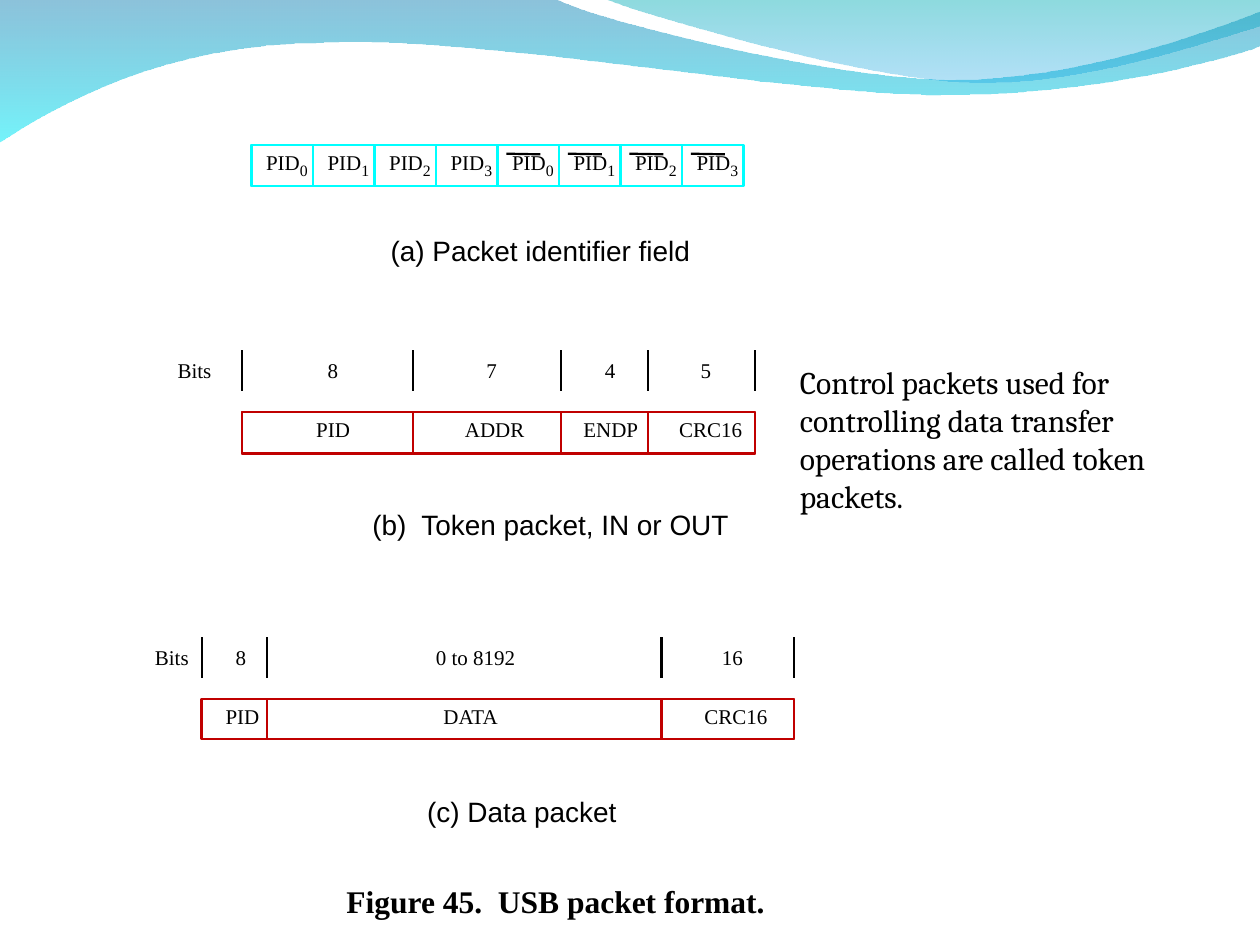
from dataclasses import dataclass
from typing import Optional
from pptx import Presentation
from pptx import util as u
from pptx.dml.color import RGBColor
from pptx.enum import shapes, text
from pptx.oxml.xmlchemy import OxmlElement

BLACK = RGBColor(0x00, 0x00, 0x00)
WHITE = RGBColor(0xFF, 0xFF, 0xFF)
CYAN = RGBColor(0x00, 0xFF, 0xFF)
RED = RGBColor(0xC0, 0x00, 0x00)
DEEP_BLUE = RGBColor(0x00, 0x79, 0xAF)
AQUA = RGBColor(0x00, 0xEB, 0xF8)
TEAL = RGBColor(0x00, 0xAD, 0xB6)
SKY = RGBColor(0x00, 0x9B, 0xE5)

prs = Presentation()
prs.slide_width, prs.slide_height = u.Inches(10), u.Inches(7.5)
COL, ROW = prs.slide_width / 100, prs.slide_height / 75
s = prs.slides.add_slide(prs.slide_layouts[6])

SERIF = {"name": "Times New Roman", "size": u.Pt(12)}
SUBSCRIPT = {**SERIF, "size": u.Pt(9)}
CAPTION = {"name": "Arial", "size": u.Pt(16)}
FIGURE = {**SERIF, "size": u.Pt(18), "bold": True}
REMARK = {"name": "Cambria", "size": u.Pt(18)}


@dataclass
class Label:
    words: str
    x: float
    w: float


@dataclass
class Packet:
    top: float
    height: float
    edges: list[float]
    bits: list[Label]
    names: list[Label]


@dataclass
class Wave:
    start: tuple[float, float]
    pieces: list[tuple[float, ...]]
    stops: list[tuple[RGBColor, int]]


def place(x: float, y: float, w: float, h: float) -> tuple[int, ...]:
    return round(x * COL), round(y * ROW), round(w * COL), round(h * ROW)


def cell(x: float, y: float, w: float, h: float, color: RGBColor,
         fill: Optional[RGBColor] = None) -> None:
    sp = s.shapes.add_shape(shapes.MSO_SHAPE.RECTANGLE, *place(x, y, w, h))
    sp.shadow.inherit = False
    sp.fill.background()
    if fill is not None:
        sp.fill.solid()
        sp.fill.fore_color.rgb = fill
    sp.line.color.rgb = color
    sp.line.width = u.Pt(1.25)


def line(x1: float, y1: float, x2: float, y2: float) -> None:
    c = s.shapes.add_connector(shapes.MSO_CONNECTOR.STRAIGHT,
                               *place(x1, y1, x2, y2))
    c.line.color.rgb = BLACK
    c.line.width = u.Pt(1.25)
    c._element.spPr.append(OxmlElement("a:effectLst"))


def write(label: Label, y: float, h: float, font: dict,
          wrap: bool = False) -> None:
    tf = s.shapes.add_textbox(*place(label.x, y, label.w, h)).text_frame
    tf.word_wrap = wrap
    tf.auto_size = text.MSO_AUTO_SIZE.SHAPE_TO_FIT_TEXT
    if not wrap:
        for side in ("left", "top", "right", "bottom"):
            setattr(tf, f"margin_{side}", 0)
    r = tf.paragraphs[0].add_run()
    r.text = label.words
    r.font.color.rgb = BLACK
    for key, value in font.items():
        setattr(r.font, key, value)


def draw_wave(wave: Wave) -> None:
    points = [(round(x * COL), round(y * ROW)) for piece in wave.pieces
              for x, y in zip(piece[0::2], piece[1::2])]
    builder = s.shapes.build_freeform(*place(*wave.start, 0, 0)[:2])
    builder.add_line_segments(points, close=True)
    sp = builder.convert_to_shape()
    segments = iter(sp._element.findall(".//{*}lnTo"))
    for piece in wave.pieces:
        first = next(segments)
        if len(piece) == 6:
            curve = OxmlElement("a:cubicBezTo")
            first.addprevious(curve)
            for segment in (first, next(segments), next(segments)):
                curve.append(segment[0])
                segment.getparent().remove(segment)
    sp.shadow.inherit = False
    sp.line.fill.background()
    sp.fill.gradient()
    sp.fill.gradient_angle = 270
    for stop, (color, opacity) in zip(sp.fill.gradient_stops, wave.stops):
        stop.color.rgb = color
        alpha = OxmlElement("a:alpha")
        alpha.set("val", str(opacity * 1000))
        stop._gs.find(".//{*}srgbClr").append(alpha)


def draw_packet(packet: Packet) -> None:
    top, edges = packet.top, packet.edges
    for left, right in [*zip(edges, edges[1:]), (edges[0], edges[-1])]:
        cell(left, top + 4.9, right - left, packet.height, RED)
    for x in edges:
        line(x, top + 3.2, x, top)
    for row, drop in ((packet.bits, 0.54), (packet.names, 5.24)):
        for label in row:
            write(label, top + drop, 2, SERIF)


WAVES = [
    Wave((0, -0.1),
         [(44, -0.1), (47.6, 1.7, 66.4, 6.3, 75.8, 6.3),
          (85.3, 6.3, 95.8, 2.6, 100, 0.9), (100.1, 3.6),
          (98.3, 4.4, 87, 7.6, 74.6, 7.5), (62.2, 7.5, 38.2, 2.8, 25.7, 3.4),
          (12.9, 3.5, 4.6, 8.3, -0.1, 11.3)],
         [(DEEP_BLUE, 45), (AQUA, 55)]),
    Wave((47.9, -0.1),
         [(50.9, 1.1, 68.2, 6.2, 76.9, 6.5),
          (85.6, 6.9, 96.1, 3.2, 100, 2.1), (100, 0)],
         [(TEAL, 45), (SKY, 30)]),
]

PACKETS = [
    Packet(27.8, 3.3, [19.2, 32.8, 44.5, 51.4, 59.9],
           [Label("Bits", 14.1, 2.8), Label("8", 26, 0.9),
            Label("7", 38.6, 0.9), Label("4", 48, 0.9), Label("5", 55.6, 0.9)],
           [Label("PID", 25.1, 2.8), Label("ADDR", 36.9, 4.9),
            Label("ENDP", 46.3, 4.5), Label("CRC16", 53.9, 5.1)]),
    Packet(50.58, 3.2, [16, 21.2, 52.5, 63],
           [Label("Bits", 12.3, 2.8), Label("8", 18.7, 0.9),
            Label("0 to 8192", 34.6, 6.4), Label("16", 57.3, 1.8)],
           [Label("PID", 17.9, 2.8), Label("DATA", 35.2, 4.7),
            Label("CRC16", 55.9, 5.1)]),
]

CAPTIONS = [
    (Label("(a) Packet identifier field", 31, 24.4), 18.55, 2.7, CAPTION),
    (Label("(b)  Token packet, IN or OUT", 29.55, 28.6), 40.3, 2.7, CAPTION),
    (Label("(c) Data packet", 33.9, 15.3), 63.1, 2.7, CAPTION),
    (Label("Figure 45.  USB packet format.", 27.5, 33.4), 70, 3, FIGURE),
]

PID_LEFT, PID_TOP, PID_WIDTH, PID_COUNT = 19.97, 11.5, 4.88, 8

s.background.fill.solid()
s.background.fill.fore_color.rgb = WHITE
for wave in WAVES:
    draw_wave(wave)

for color, fill in ((WHITE, WHITE), (CYAN, None)):
    cell(PID_LEFT, PID_TOP, PID_WIDTH * PID_COUNT, 3.3, color, fill)
for i in range(PID_COUNT):
    x = PID_LEFT + i * PID_WIDTH
    cell(x, PID_TOP, PID_WIDTH, 3.3, CYAN)
    if i >= PID_COUNT // 2:
        line(x + 0.7, PID_TOP + 0.7, x + 3.4, PID_TOP + 0.75)
    write(Label("PID", x + 1.15, 2.8), PID_TOP + 0.4, 2, SERIF)
    write(Label(str(i % 4), x + 3.84, 0.7), PID_TOP + 1.25, 1.5, SUBSCRIPT)

for packet in PACKETS:
    draw_packet(packet)
for caption in CAPTIONS:
    write(*caption)
write(Label("Control packets used for controlling data transfer operations "
            "are called token packets.", 62.5, 33.3), 28.33, 13, REMARK, wrap=True)

prs.save("out.pptx")
